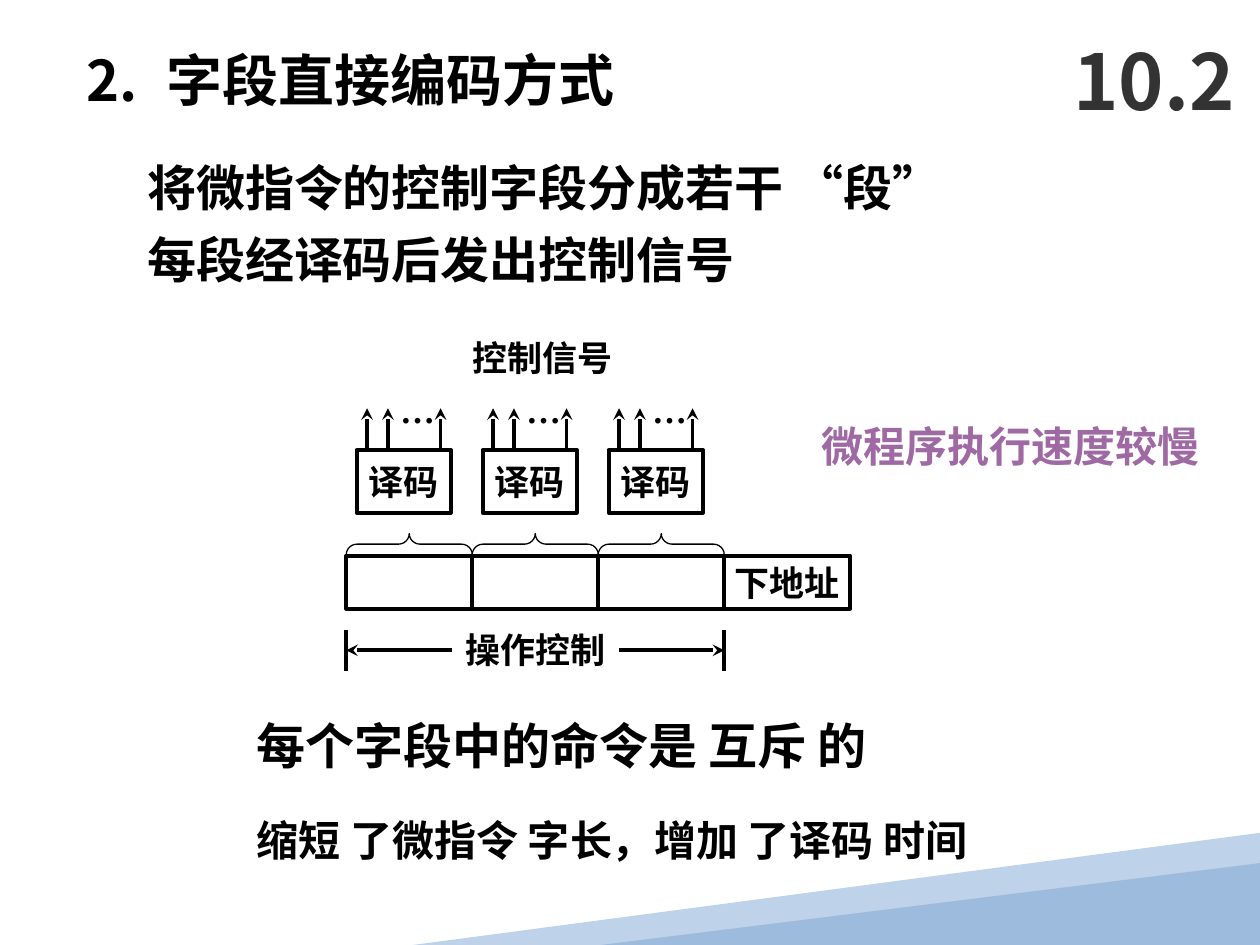
from lxml import etree
from pptx import Presentation
from pptx import util as u
from pptx.dml.color import RGBColor
from pptx.enum import shapes, text
from pptx.oxml import ns

BLACK = RGBColor(0x00, 0x00, 0x00)
GRAY = RGBColor(0x33, 0x33, 0x33)
PURPLE = RGBColor(0x9F, 0x69, 0xA3)
PALE_BLUE = RGBColor(0xBE, 0xD2, 0xE9)
MID_BLUE = RGBColor(0x9D, 0xBC, 0xDD)
FONT = "Noto Sans CJK SC"
RECT = shapes.MSO_SHAPE.RECTANGLE
MIDDLE = text.MSO_ANCHOR.MIDDLE
CENTER = text.PP_ALIGN.CENTER

TEXTS = [
    (["2.\t字段直接编码方式"], (1.5, 0.91, 22, 1.63), dict(size=32, tab=1.6)),
    (["将微指令的控制字段分成若干 “段”", "每段经译码后发出控制信号"],
     (2.72, 3.18, 21.21, 3.25), dict(size=28, before=7.5)),
    (["每个字段中的命令是 互斥 的"], (4.93, 14.43, 14.61, 1.45), dict(size=28)),
    (["操作控制"], (9.14, 12.67, 3.33, 1.12), {}),
    (["控制信号"], (9.27, 6.78, 3.33, 1.12), {}),
    (["缩短 了微指令 字长，增加 了译码 时间"], (4.93, 16.41, 15.16, 1.27), dict(size=24)),
    (["微程序执行速度较慢"], (16.31, 8.48, 8.13, 1.27), dict(size=24, color=PURPLE)),
    (["10.2"], (21.39, 0.43, 4.01, 2.34), dict(size=44, color=GRAY, anchor=MIDDLE)),
]
FIELDS = ["", "", "", "下地址"]
DECODERS = ["译码"] * 3
SIGNAL_OFFSETS = [0.42, 0.84, 1.9]
CORNER = [(25.4, 16.79), (25.4, 18.9), (17.09, 19.05), (8.33, 19.05)]

FIELD_X, FIELD_Y, FIELD_W, FIELD_H = 6.98, 11.2, 2.54, 1.07
DECODER_DX, DECODER_Y, DECODER_W, DECODER_H = 0.21, 9.07, 1.9, 1.27
SIGNAL_Y = 8.23
BRACE_W, BRACE_Y = 0.43, 10.97
SPAN_Y, TICK = 13.11, 0.42
SPAN_ARROW = 2.13

prs = Presentation()
prs.slide_width, prs.slide_height = u.Cm(25.4), u.Cm(19.05)
s = prs.slides.add_slide(prs.slide_layouts[6])


def write(sp, lines, size=20, color=BLACK, align=None, anchor=text.MSO_ANCHOR.TOP,
          wrap=True, margin=0.25, before=0, tab=None):
    tf = sp.text_frame
    tf.word_wrap = wrap
    tf.vertical_anchor = anchor
    tf.margin_left = u.Cm(margin)
    tf.margin_right = tf.margin_top = tf.margin_bottom = 0
    for i, line in enumerate(lines):
        p = tf.add_paragraph() if i else tf.paragraphs[0]
        if align is not None:
            p.alignment = align
        if i:
            p.space_before = u.Pt(before)
        if tab:
            tabs = etree.SubElement(p._p.get_or_add_pPr(), ns.qn("a:tabLst"))
            etree.SubElement(tabs, ns.qn("a:tab"), pos=str(u.Cm(tab)), algn="l")
        r = p.add_run()
        r.text = line
        r.font.size, r.font.bold, r.font.name = u.Pt(size), True, FONT
        r.font.color.rgb = color
        rPr = r._r.get_or_add_rPr()
        rPr.set("lang", "zh-CN")
        etree.SubElement(rPr, ns.qn("a:ea"), typeface=FONT)


def add_text(lines, box, **fmt):
    sp = s.shapes.add_textbox(*map(u.Cm, box))
    write(sp, lines, **fmt)


def paint(sp, fill=None, line_width=None):
    sp.shadow.inherit = False
    if fill is None:
        sp.fill.background()
    else:
        sp.fill.solid()
        sp.fill.fore_color.rgb = fill
    if line_width is None:
        sp.line.fill.background()
    else:
        sp.line.color.rgb = BLACK
        sp.line.width = u.Pt(line_width)


def add_shape(kind, box, fill=None, line_width=None, label=""):
    sp = s.shapes.add_shape(kind, *map(u.Cm, box))
    paint(sp, fill, line_width)
    if label:
        write(sp, [label], align=CENTER, anchor=MIDDLE, wrap=False, margin=0)
    return sp


def add_line(x1, y1, x2, y2, arrow=False):
    c = s.shapes.add_connector(shapes.MSO_CONNECTOR.STRAIGHT, *map(u.Cm, (x1, y1, x2, y2)))
    c.line.color.rgb = BLACK
    c.line.width = u.Pt(2.25)
    if arrow:
        etree.SubElement(c.line._get_or_add_ln(), ns.qn("a:tailEnd"), type="stealth")
    etree.SubElement(c._element.spPr, ns.qn("a:effectLst"))


def add_background():
    points = [(u.Cm(x), u.Cm(y)) for x, y in CORNER]
    builder = s.shapes.build_freeform(*points[0])
    builder.add_line_segments(points[1:], close=True)
    paint(builder.convert_to_shape(), PALE_BLUE)
    wedge = add_shape(shapes.MSO_SHAPE.ISOSCELES_TRIANGLE, (12.12, 17.4, 13.28, 1.65), MID_BLUE)
    wedge.adjustments[0] = 1


def add_decoder(x, label):
    left = x + DECODER_DX
    add_shape(RECT, (left, DECODER_Y, DECODER_W, DECODER_H), line_width=2.25, label=label)
    for dx in SIGNAL_OFFSETS:
        add_line(x + dx, DECODER_Y, x + dx, SIGNAL_Y, arrow=True)
    add_text(["…"], (x + 0.84, 8.05, 1.22, 1.12))
    center = x + FIELD_W / 2
    brace = add_shape(shapes.MSO_SHAPE.LEFT_BRACE,
                      (center - BRACE_W / 2, BRACE_Y - FIELD_W / 2, BRACE_W, FIELD_W),
                      line_width=0.75)
    brace.rotation = 90
    brace.adjustments[0] = brace.adjustments[1] = 0.5


add_background()
field_xs = [FIELD_X + i * FIELD_W for i in range(len(FIELDS))]
for x, label in zip(field_xs, DECODERS):
    add_decoder(x, label)
for x, label in zip(field_xs, FIELDS):
    add_shape(RECT, (x, FIELD_Y, FIELD_W, FIELD_H), line_width=2.25, label=label)
for x, inward in ((field_xs[0], 1), (field_xs[-1], -1)):
    add_line(x, SPAN_Y - TICK, x, SPAN_Y + TICK)
    add_line(x + inward * SPAN_ARROW, SPAN_Y, x, SPAN_Y, arrow=True)
for lines, box, fmt in TEXTS:
    add_text(lines, box, **fmt)

prs.save("out.pptx")
